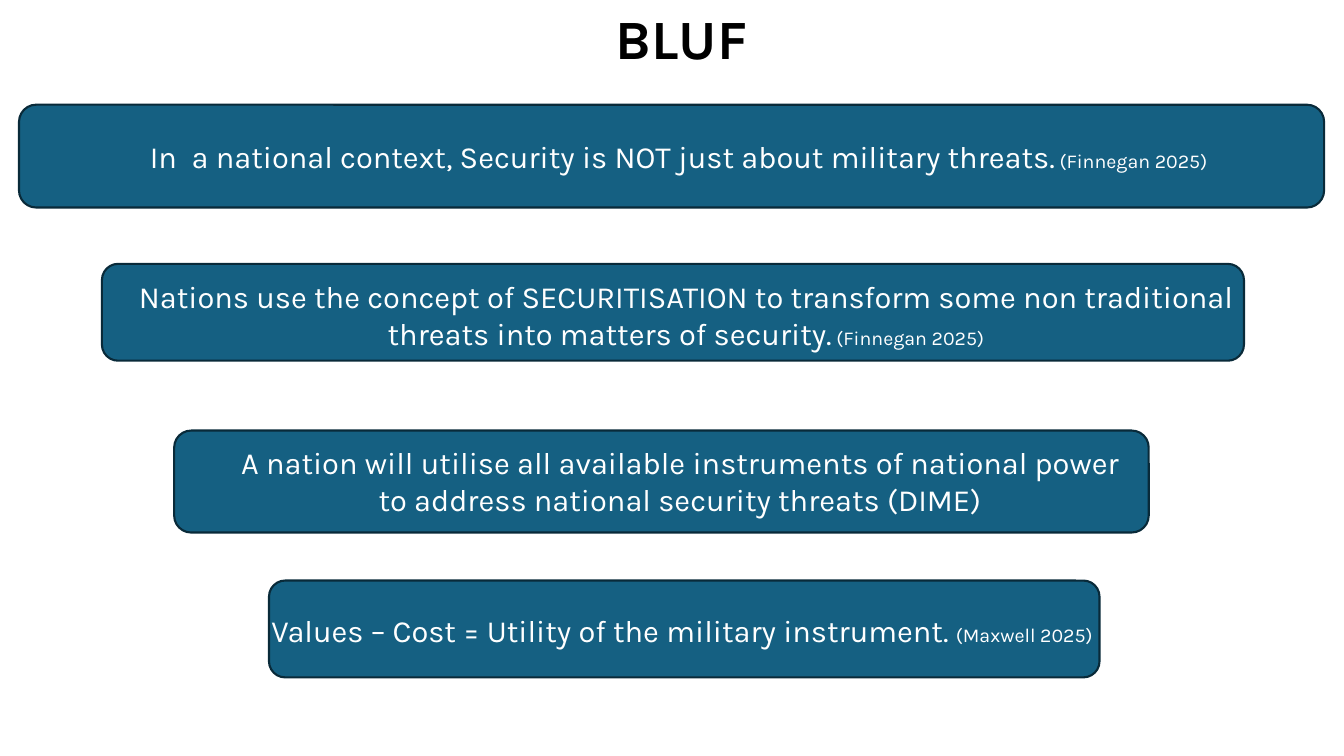
"""Build the BLUF slide: four narrowing statements on national security."""
import pptx
import pptx.util
import pptx.dml.color
import pptx.enum.shapes
import pptx.enum.text

Cm = pptx.util.Cm
Pt = pptx.util.Pt

COLOURS = {"title": "000000", "bar": "156082", "outline": "092A39", "text": "FFFFFF"}
FONT = "Karla"
HEADING = "BLUF"
HEADING_AREA = (2.57, 0.25, 29.21, 1.6)

STATEMENTS = [
    {"bar": (0.48, 2.64, 32.89, 2.59), "area": (2.18, 3.35, 29.85, 1.19),
     "claim": "In  a national context, Security is NOT just about military threats.",
     "citation": " (Finnegan 2025)"},
    {"bar": (2.57, 6.65, 28.78, 2.44), "area": (3.23, 6.88, 28.12, 2.9),
     "claim": "Nations use the concept of SECURITISATION to transform some non "
              "traditional threats into matters of security.",
     "citation": " (Finnegan 2025)"},
    {"bar": (4.39, 10.85, 24.56, 2.57), "area": (5.77, 11.05, 22.73, 3.07),
     "claim": "A nation will utilise all available instruments of national power "
              "to address national security threats (DIME)",
     "citation": ""},
    {"bar": (6.78, 14.63, 20.93, 2.44), "area": (6.38, 15.29, 21.62, 1.19),
     "claim": "Values – Cost = Utility of the military instrument. ",
     "citation": "(Maxwell 2025)"},
]


def colour(name):
    return pptx.dml.color.RGBColor.from_string(COLOURS[name])


def add_bar(slide, area):
    bar = slide.shapes.add_shape(
        pptx.enum.shapes.MSO_SHAPE.ROUNDED_RECTANGLE, *map(Cm, area))
    bar.shadow.inherit = False
    bar.fill.solid()
    bar.fill.fore_color.rgb = colour("bar")
    bar.line.color.rgb = colour("outline")
    bar.line.width = Pt(1.5)


def add_text(slide, area, pieces, colour_name):
    frame = slide.shapes.add_textbox(*map(Cm, area)).text_frame
    frame.word_wrap = True
    paragraph = frame.paragraphs[0]
    paragraph.alignment = pptx.enum.text.PP_ALIGN.CENTER
    paragraph.font.name = FONT
    paragraph.font.color.rgb = colour(colour_name)
    for words, size in pieces:
        if words:
            run = paragraph.add_run()
            run.text = words
            run.font.size = Pt(size)
            run.font.name = FONT
            run.font.color.rgb = colour(colour_name)
    return frame


def main():
    deck = pptx.Presentation()
    deck.slide_width, deck.slide_height = Cm(33.87), Cm(19.05)
    slide = deck.slides.add_slide(deck.slide_layouts[6])

    heading = add_text(slide, HEADING_AREA, [(HEADING, 39.6)], "title")
    heading.vertical_anchor = pptx.enum.text.MSO_ANCHOR.MIDDLE
    heading.paragraphs[0].line_spacing = 0.9
    heading.paragraphs[0].runs[0].font.bold = True

    for statement in STATEMENTS:
        add_bar(slide, statement["bar"])
        pieces = [(statement["claim"], 22), (statement["citation"], 14)]
        body = add_text(slide, statement["area"], pieces, "text")
        body.auto_size = pptx.enum.text.MSO_AUTO_SIZE.SHAPE_TO_FIT_TEXT

    deck.save("out.pptx")


if __name__ == "__main__":
    main()
